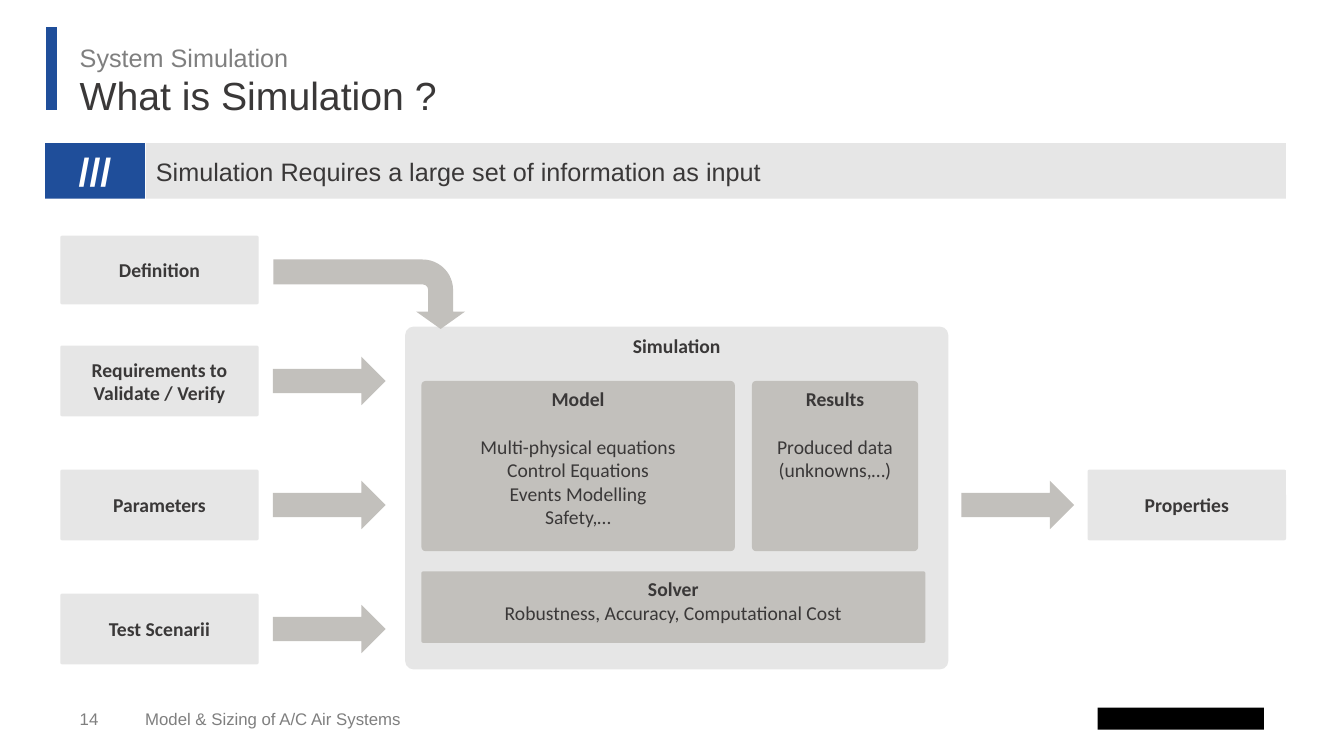
from lxml.etree import SubElement
from pptx import Presentation
from pptx.dml.color import RGBColor
from pptx.enum.shapes import MSO_CONNECTOR, MSO_SHAPE
from pptx.enum.text import MSO_ANCHOR, PP_ALIGN
from pptx.oxml.ns import qn
from pptx.util import Cm, Pt

BLUE, PALE, GREY, DARK, MUTED = "1F4E9A", "E6E6E6", "C2C0BC", "3A3838", "7F7F7F"

deck = Presentation()
deck.slide_width, deck.slide_height = Cm(33.87), Cm(19.05)
slide = deck.slides.add_slide(deck.slide_layouts[6])


def block(kind, box, color, adjustments=()):
    shape = slide.shapes.add_shape(kind, *map(Cm, box))
    shape.shadow.inherit = False
    shape.fill.solid()
    shape.fill.fore_color.rgb = RGBColor.from_string(color)
    shape.line.fill.background()
    for index, value in enumerate(adjustments):
        shape.adjustments[index] = value
    return shape


def write(text, shape, size=14, font="Calibri", color=DARK, bold=False,
          align=PP_ALIGN.CENTER, anchor=MSO_ANCHOR.MIDDLE, before=0, spacing=None):
    frame = shape.text_frame
    frame.word_wrap = True
    frame.vertical_anchor = anchor
    paragraph = frame.add_paragraph() if frame.text else frame.paragraphs[0]
    paragraph.text = text
    paragraph.alignment = align
    paragraph.space_before = Pt(before)
    paragraph.line_spacing = spacing
    paragraph.font.size = Pt(size)
    paragraph.font.name = font
    paragraph.font.bold = bold
    paragraph.font.color.rgb = RGBColor.from_string(color)


accent = slide.shapes.add_connector(MSO_CONNECTOR.STRAIGHT, Cm(1.3), Cm(0.69), Cm(1.3), Cm(2.77))
accent.line.color.rgb = RGBColor.from_string(BLUE)
accent.line.width = Pt(7.94)
SubElement(accent._element.spPr, qn("a:effectLst"))

for text, box, size, color, anchor, spacing in (
    ("What is Simulation ?", (2.01, 1.93, 29.85, 1.07), 28, DARK, MSO_ANCHOR.MIDDLE, 0.9),
    ("System Simulation", (2.01, 1.07, 29.85, 0.66), 18, MUTED, MSO_ANCHOR.TOP, None),
    ("Model & Sizing of A/C Air Systems", (3.66, 17.86, 19.48, 0.51), 12, MUTED, MSO_ANCHOR.MIDDLE, None),
    ("14", (2.01, 17.86, 1.45, 0.51), 12, MUTED, MSO_ANCHOR.MIDDLE, None),
):
    caption = slide.shapes.add_textbox(*map(Cm, box))
    frame = caption.text_frame
    frame.margin_left = frame.margin_right = frame.margin_top = frame.margin_bottom = 0
    write(text, caption, size=size, font="Arial", color=color,
          align=PP_ALIGN.LEFT, anchor=anchor, spacing=spacing)

slashes = block(MSO_SHAPE.RECTANGLE, (1.14, 3.61, 2.51, 1.4), BLUE)
write("///", slashes, size=28, font="Arial", color="FFFFFF", bold=True)
message = block(MSO_SHAPE.RECTANGLE, (3.68, 3.61, 28.73, 1.4), PALE)
write("Simulation Requires a large set of information as input", message,
      size=18, font="Arial", align=PP_ALIGN.LEFT)

for heading, details, box, color, gap in (
    ("Simulation", (), (10.21, 8.23, 13.69, 8.64), PALE, 0),
    ("Model", ("Multi-physical equations", "Control Equations", "Events Modelling", "Safety,…"),
     (10.62, 9.6, 7.9, 4.29), GREY, 17),
    ("Solver", ("Robustness, Accuracy, Computational Cost",), (10.62, 14.4, 12.7, 1.8), GREY, 0),
    ("Results", ("Produced data (unknowns,…)",), (18.95, 9.6, 4.19, 4.29), GREY, 17),
):
    panel = block(MSO_SHAPE.ROUNDED_RECTANGLE, box, color, [0.025])
    write(heading, panel, bold=True, anchor=MSO_ANCHOR.TOP)
    for index, detail in enumerate(details):
        write(detail, panel, anchor=MSO_ANCHOR.TOP, before=0 if index else gap)

ROW_TOP, ROW_PITCH = 8.71, 3.125
for text, left, top, height, arrow_left in (
    ("Definition", 1.52, 5.94, 1.73, None),
    ("Requirements to Validate / Verify", 1.52, ROW_TOP, 1.78, 6.88),
    ("Parameters", 1.52, ROW_TOP + ROW_PITCH, 1.78, 6.88),
    ("Test Scenarii", 1.52, ROW_TOP + 2 * ROW_PITCH, 1.78, 6.88),
    ("Properties", 27.41, ROW_TOP + ROW_PITCH, 1.78, 24.23),
):
    if arrow_left:
        block(MSO_SHAPE.RIGHT_ARROW, (arrow_left, top + 0.28, 2.84, 1.22), GREY)
    step = block(MSO_SHAPE.ROUNDED_RECTANGLE, (left, top, 5, height), PALE, [0.025])
    write(text, step, bold=True)

definition_arrow = block(MSO_SHAPE.BENT_ARROW, (8.43, 5, 1.75, 4.83), GREY, (0.358, 0.352, 0.25, 0.438))
definition_arrow.rotation = 90

block(MSO_SHAPE.RECTANGLE, (27.66, 17.83, 4.19, 0.56), "000000")

deck.save("out.pptx")
